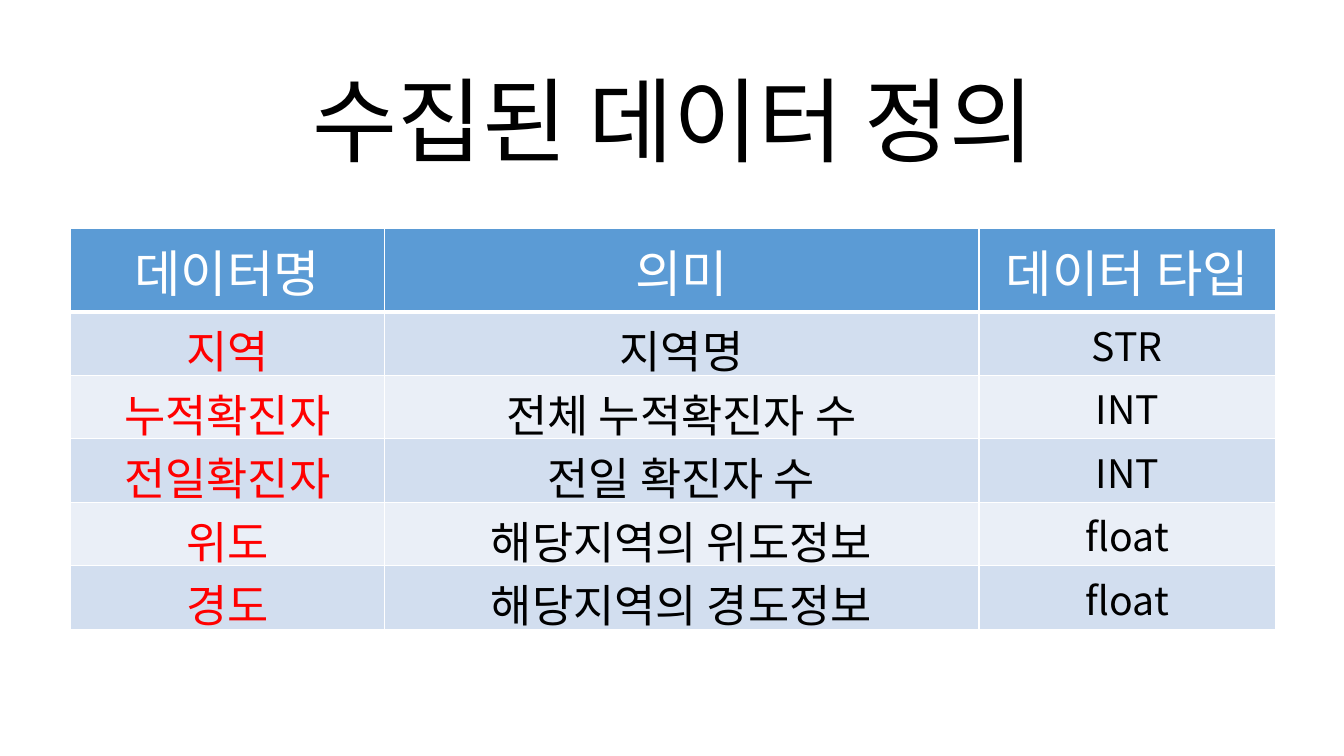
"""Build the slide that defines the collected data fields."""
from lxml.etree import SubElement
from pptx import Presentation
from pptx.dml.color import RGBColor
from pptx.enum.text import MSO_ANCHOR, PP_ALIGN
from pptx.oxml.ns import qn
from pptx.util import Inches, Pt

TITLE = "수집된 데이터 정의"
FIELDS = [
    ("데이터명", "의미", "데이터 타입"),
    ("지역", "지역명", "STR"),
    ("누적확진자", "전체 누적확진자 수", "INT"),
    ("전일확진자", "전일 확진자 수", "INT"),
    ("위도", "해당지역의 위도정보", "float"),
    ("경도", "해당지역의 경도정보", "float"),
]
FONT = "Noto Sans CJK KR"
COLUMN_WIDTHS = (3.11, 5.9, 2.94)
HEADER_HEIGHT, FIELD_HEIGHT = 0.82, 0.63
HEADER_FILL, FIELD_FILLS = "5B9BD5", ("D2DEEF", "EAEFF7")
HEADER_FORMAT = {"size": 36, "color": "FFFFFF"}
FIELD_FORMATS = (
    {"size": 32, "color": "FF0000"},
    {"size": 32, "color": "000000"},
    {"size": 28, "color": "000000"},
)
FIELD_MARGINS = {"margin_top": Inches(0.05), "margin_bottom": Inches(-0.07)}
TYPE_MARGINS = {"margin_top": Inches(0.01), "margin_bottom": 0,
                "vertical_anchor": MSO_ANCHOR.MIDDLE}


def paint(color_format, color):
    color_format.rgb = RGBColor.from_string(color)


def apply(target, settings):
    for attribute, value in settings.items():
        setattr(target, attribute, value)


def write(frame, text, size, color):
    paragraph = frame.paragraphs[0]
    paragraph.alignment = PP_ALIGN.CENTER
    run = paragraph.add_run()
    run.text = text
    apply(run.font, {"name": FONT, "size": Pt(size)})
    paint(run.font.color, color)
    SubElement(run.font._element, qn("a:ea"), typeface=FONT)


def add_borders(cell, header):
    properties = cell._tc.get_or_add_tcPr()
    for index, side in enumerate(("lnL", "lnR", "lnT", "lnB")):
        width = Pt(3 if header and side == "lnB" else 1)
        line = properties.makeelement(qn(f"a:{side}"), {"w": str(width)})
        fill = SubElement(line, qn("a:solidFill"))
        SubElement(fill, qn("a:srgbClr"), val="FFFFFF")
        properties.insert(index, line)


def add_title(slide):
    title = slide.shapes.add_textbox(
        Inches(2.55), Inches(0.46), Inches(8.26), Inches(1.43))
    apply(title.text_frame, {"word_wrap": False,
                             "vertical_anchor": MSO_ANCHOR.MIDDLE})
    write(title.text_frame, TITLE, 66, "000000")


def add_fields(slide):
    height = HEADER_HEIGHT + FIELD_HEIGHT * (len(FIELDS) - 1)
    table = slide.shapes.add_table(
        len(FIELDS), len(COLUMN_WIDTHS), Inches(0.7), Inches(2.27),
        Inches(sum(COLUMN_WIDTHS)), Inches(height)).table
    for column, width in zip(table.columns, COLUMN_WIDTHS):
        column.width = Inches(width)
    for row, field in enumerate(FIELDS):
        header = row == 0
        table.rows[row].height = Inches(HEADER_HEIGHT if header else FIELD_HEIGHT)
        for column, text in enumerate(field):
            cell = table.cell(row, column)
            cell.fill.solid()
            paint(cell.fill.fore_color,
                  HEADER_FILL if header else FIELD_FILLS[(row - 1) % 2])
            add_borders(cell, header)
            if not header:
                apply(cell, TYPE_MARGINS if column == 2 else FIELD_MARGINS)
            write(cell.text_frame, text,
                  **(HEADER_FORMAT if header else FIELD_FORMATS[column]))


def main():
    presentation = Presentation()
    apply(presentation, {"slide_width": Inches(13.33),
                         "slide_height": Inches(7.5)})
    slide = presentation.slides.add_slide(presentation.slide_layouts[6])
    add_fields(slide)
    add_title(slide)
    presentation.save("out.pptx")


if __name__ == "__main__":
    main()
